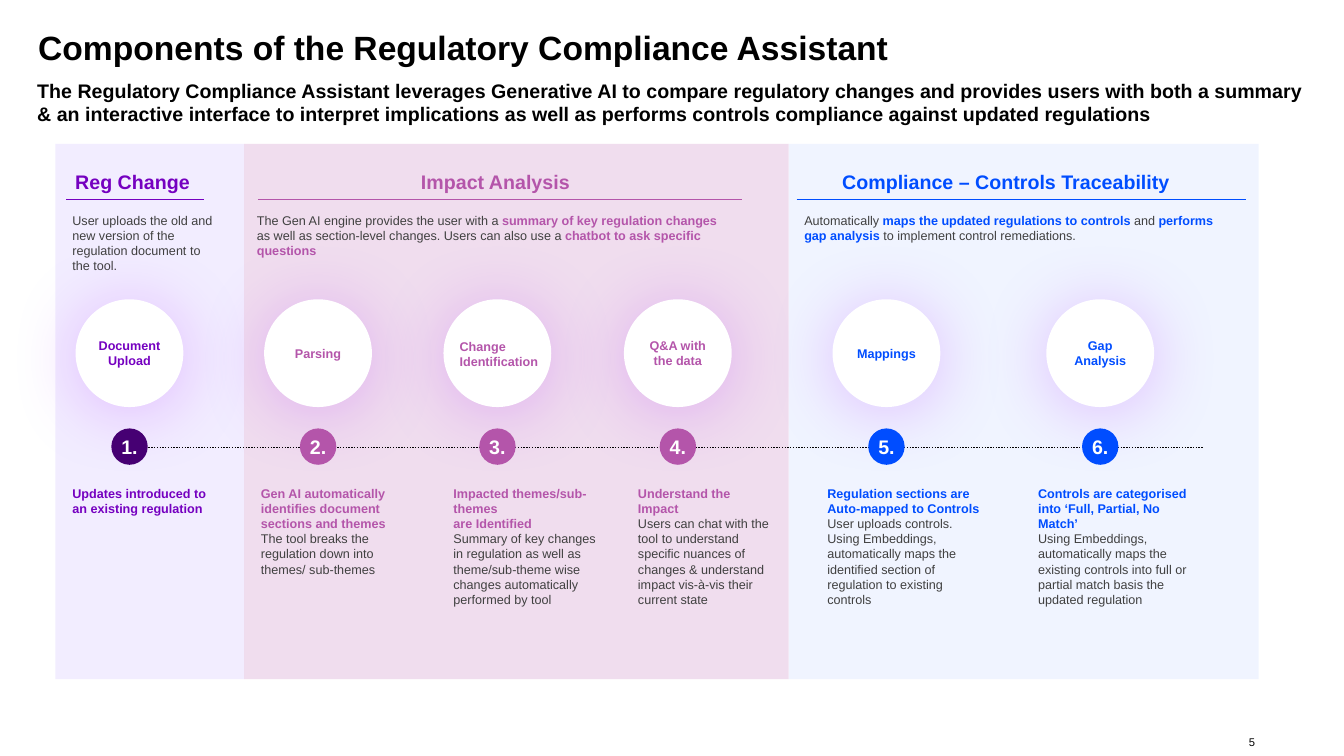
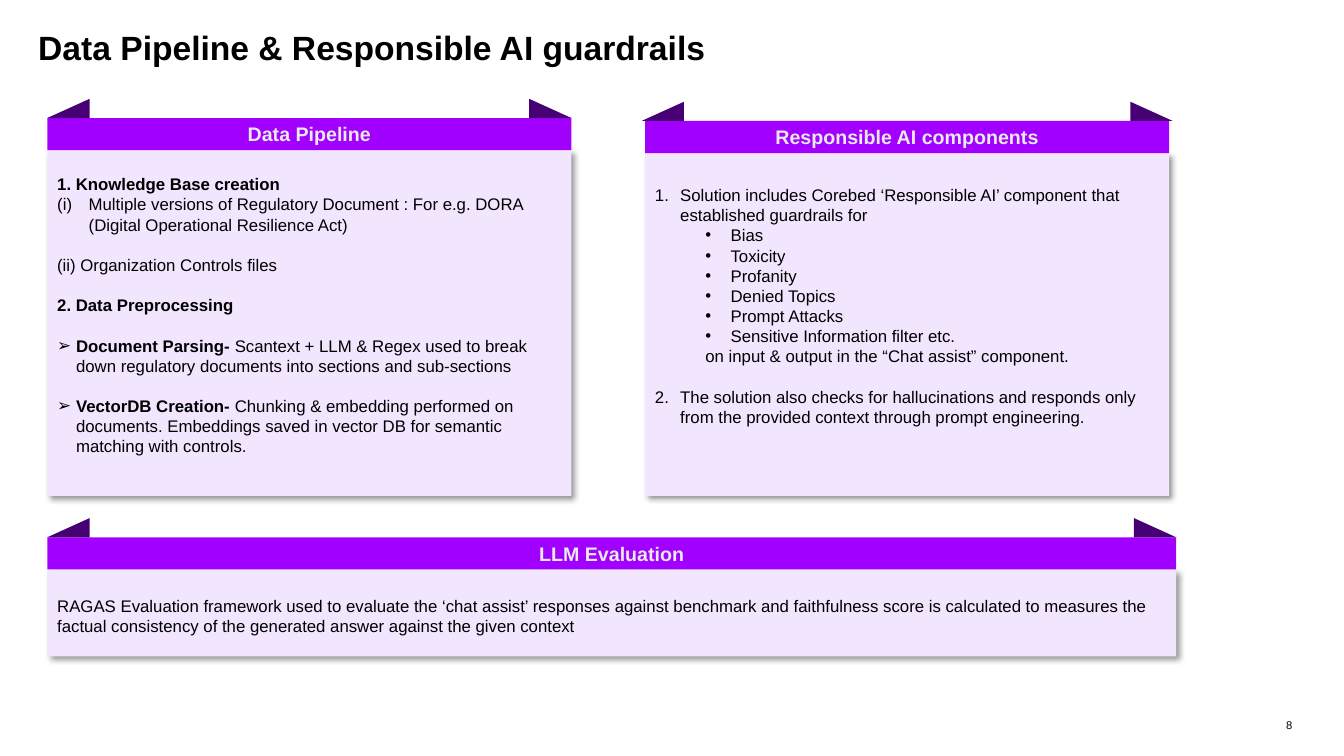
from dataclasses import dataclass

from lxml.etree import SubElement
from pptx import Presentation
from pptx.dml.color import RGBColor
from pptx.enum.dml import MSO_LINE
from pptx.enum.shapes import MSO_CONNECTOR, MSO_SHAPE
from pptx.enum.text import MSO_ANCHOR, PP_ALIGN
from pptx.oxml.ns import qn
from pptx.util import Pt


@dataclass(frozen=True)
class Theme:
    font: str = "Arial"
    title: int = 24
    heading: int = 14
    body: int = 12
    small: int = 9
    footer: int = 8
    black: str = "000000"
    white: str = "FFFFFF"
    grey: str = "404040"
    silver: str = "EAEAEA"
    deep: str = "460073"
    purple: str = "7500C0"
    violet: str = "A100FF"
    pink: str = "B455AA"
    blue: str = "004DFF"
    lavender: str = "E6DCFF"
    sky: str = "CCDBFF"
    card: str = "F2E6FF"


THEME = Theme()
INSETS = (7.2, 3.6, 7.2, 3.6)
GLOW = dict(color=THEME.violet, alpha=22, blur=51.6, distance=4, angle=90)
DROP = dict(color=THEME.black, alpha=40, blur=4, distance=3, angle=45)

COMPONENTS_TITLE = "Components of the Regulatory Compliance Assistant"
COMPONENTS_SUBTITLE = (
    "The Regulatory Compliance Assistant leverages Generative AI to compare regulatory changes and "
    "provides users with both a summary & an interactive interface to interpret implications as well "
    "as performs controls compliance against updated regulations"
)
PANELS = [
    dict(box=(174.4, 389), fill=THEME.pink, opacity=20, accent=THEME.pink,
         title="Impact Analysis", title_box=(174.4, 359), rule=(184.3, 530),
         text_box=(176.4, 353),
         text=[("The Gen AI engine provides the user with a ", False),
               ("summary of key regulation changes ", True),
               ("as well as section-level changes. Users can also use a ", False),
               ("chatbot to ask specific questions", True)]),
    dict(box=(39.6, 134.8), fill=THEME.lavender, opacity=50, accent=THEME.purple,
         title="Reg Change", title_box=(38.2, 113), rule=(47.5, 145.4),
         text_box=(44.6, 120),
         text="User uploads the old and new version of the regulation document to the tool."),
    dict(box=(563.4, 335.6), fill=THEME.sky, opacity=29, accent=THEME.blue,
         title="Compliance – Controls Traceability", title_box=(538.6, 360), rule=(569, 890),
         text_box=(567.4, 322.6),
         text=[("Automatically ", False),
               ("maps the updated regulations to controls ", True),
               ("and ", False),
               ("performs gap analysis ", True),
               ("to implement control remediations.", False)]),
]
STEPS = [
    dict(center=92.5, label="Document Upload", accent=THEME.purple, dot=THEME.deep,
         text_box=(44.6, 120), heads=["Updates introduced to an existing regulation"], detail=None),
    dict(center=227.2, label="Parsing", accent=THEME.pink, dot=THEME.pink,
         text_box=(179.3, 116.6),
         heads=["Gen AI automatically identifies document sections and themes"],
         detail="The tool breaks the regulation down into themes/ sub-themes"),
    dict(center=355.3, label="Change Identification", label_box=(328.3, 75),
         accent=THEME.pink, dot=THEME.pink, text_box=(316.8, 123.8),
         heads=["Impacted themes/sub-themes", "are Identified"],
         detail="Summary of key changes in regulation as well as theme/sub-theme wise changes "
                "automatically performed by tool"),
    dict(center=484.2, label="Q&A with the data", accent=THEME.pink, dot=THEME.pink,
         text_box=(448.6, 111.6), heads=["Understand the Impact"],
         detail="Users can chat with the tool to understand specific nuances of changes & "
                "understand impact vis-à-vis their current state"),
    dict(center=633.2, label="Mappings", accent=THEME.blue, dot=THEME.blue,
         text_box=(583.9, 128.2), heads=["Regulation sections are", "Auto-mapped to Controls"],
         detail="User uploads controls. Using Embeddings, automatically maps the identified "
                "section of regulation to existing controls"),
    dict(center=785.9, label="Gap Analysis", accent=THEME.blue, dot=THEME.blue,
         text_box=(734.4, 128.2), heads=["Controls are categorised into ‘Full, Partial, No Match’"],
         detail="Using Embeddings, automatically maps the existing controls into full or partial "
                "match basis the updated regulation"),
]

GUARDRAILS_TITLE = "Data Pipeline & Responsible AI guardrails"
GUARDRAILS = ["Bias", "Toxicity", "Profanity", "Denied Topics", "Prompt Attacks",
              "Sensitive Information filter etc."]
GAP = 14.4
CARDS = [
    dict(title="Data Pipeline", box=(33.8, 84.3, 374.4, 270), overhang=0, inset_top=17, text=[
        dict(runs=[("1. Knowledge Base creation", True)]),
        dict(runs="Multiple versions of Regulatory Document : For e.g. DORA (Digital Operational "
                  "Resilience Act)", number="romanLcParenBoth", left=22.5, hang=22.5),
        dict(runs="(ii) Organization Controls files", before=GAP),
        dict(runs=[("2. Data Preprocessing", True)], before=GAP),
        dict(runs=[("Document Parsing- ", True),
                   ("Scantext + LLM & Regex used to break down regulatory documents into sections "
                    "and sub-sections", False)], bullet="➢", left=13.5, hang=13.5, before=GAP),
        dict(runs=[("VectorDB Creation- ", True),
                   ("Chunking & embedding performed on documents. Embeddings saved in vector DB "
                    "for semantic matching with controls.", False)],
             bullet="➢", left=13.5, hang=13.5, before=GAP),
    ]),
    dict(title="Responsible AI components", box=(460.8, 86.4, 374.4, 267.9), overhang=2.5,
         inset_top=22.6, text=[
        dict(runs="Solution includes Corebed ‘Responsible AI’ component that established "
                  "guardrails for", number="arabicPeriod", left=18, hang=18),
        *[dict(runs=name, bullet="•", level=1, left=54, hang=18) for name in GUARDRAILS],
        dict(runs="on input & output in the “Chat assist” component.", level=1, left=36),
        dict(runs="The solution also checks for hallucinations and responds only from the provided "
                  "context through prompt engineering.", number="arabicPeriod", left=18, hang=18,
             before=GAP),
    ]),
    dict(title="LLM Evaluation", box=(33.8, 383.8, 806.4, 85), overhang=0, inset_top=18.6, text=[
        "RAGAS Evaluation framework used to evaluate the ‘chat assist’ responses against benchmark "
        "and faithfulness score is calculated to measures the factual consistency of the generated "
        "answer against the given context",
    ]),
]


def set_list_format(paragraph, item):
    properties = paragraph._p.get_or_add_pPr()
    paragraph.level = item.get("level", 0)
    properties.set("marL", str(Pt(item.get("left", 0))))
    properties.set("indent", str(-Pt(item.get("hang", 0))))
    if "number" in item:
        SubElement(properties, qn("a:buAutoNum"), type=item["number"])
    elif "bullet" in item:
        SubElement(properties, qn("a:buFont"), typeface=THEME.font)
        SubElement(properties, qn("a:buChar"), char=item["bullet"])
    else:
        SubElement(properties, qn("a:buNone"))


def write_text(shape, items, size=THEME.body, color=THEME.black, accent=None, bold=False,
               align=PP_ALIGN.LEFT, anchor=MSO_ANCHOR.TOP, insets=INSETS, line_spacing=None):
    frame = shape.text_frame
    frame.word_wrap = True
    frame.vertical_anchor = anchor
    frame.margin_left, frame.margin_top, frame.margin_right, frame.margin_bottom = map(Pt, insets)
    for index, item in enumerate([items] if isinstance(items, str) else items):
        if not isinstance(item, dict):
            item = dict(runs=item)
        paragraph = frame.paragraphs[0] if index == 0 else frame.add_paragraph()
        paragraph.alignment = align
        if line_spacing:
            paragraph.line_spacing = line_spacing
        if "before" in item:
            paragraph.space_before = Pt(item["before"])
        set_list_format(paragraph, item)
        paragraph.font.size = Pt(size)
        runs = item["runs"]
        for text, emphasised in [(runs, False)] if isinstance(runs, str) else runs:
            run = paragraph.add_run()
            run.text = text
            run.font.name = THEME.font
            run.font.size = Pt(size)
            run.font.bold = bold or emphasised
            run.font.color.rgb = RGBColor.from_string(accent if emphasised and accent else color)


def add_text(slide, box, items, **text_format):
    shape = slide.shapes.add_textbox(*map(Pt, box))
    write_text(shape, items, **text_format)


def add_block(slide, kind, box, fill, opacity=None, shadow=None, flip=False):
    shape = slide.shapes.add_shape(kind, *map(Pt, box))
    shape.shadow.inherit = False
    shape.fill.solid()
    shape.fill.fore_color.rgb = RGBColor.from_string(fill)
    shape.line.fill.background()
    properties = shape._element.spPr
    if opacity:
        color = properties.find(qn("a:solidFill")).find(qn("a:srgbClr"))
        SubElement(color, qn("a:alpha"), val=str(opacity * 1000))
    if shadow:
        outer = SubElement(properties.find(qn("a:effectLst")), qn("a:outerShdw"),
                           blurRad=str(Pt(shadow["blur"])), dist=str(Pt(shadow["distance"])),
                           dir=str(shadow["angle"] * 60000), algn="t", rotWithShape="0")
        color = SubElement(outer, qn("a:srgbClr"), val=shadow["color"])
        SubElement(color, qn("a:alpha"), val=str(shadow["alpha"] * 1000))
    if flip:
        properties.find(qn("a:xfrm")).set("flipH", "1")
    return shape


def add_rule(slide, left, right, top, color, dash=None):
    rule = slide.shapes.add_connector(MSO_CONNECTOR.STRAIGHT, Pt(left), Pt(top), Pt(right), Pt(top))
    rule.line.color.rgb = RGBColor.from_string(color)
    rule.line.width = Pt(1)
    if dash:
        rule.line.dash_style = dash
    SubElement(rule._element.spPr, qn("a:effectLst"))


def add_base_slide(presentation, title, number, number_left, number_top):
    slide = presentation.slides.add_slide(presentation.slide_layouts[6])
    add_text(slide, (20.2, 21.6, 906.5, 62.6), title, size=THEME.title, bold=True, line_spacing=0.8)
    add_text(slide, (number_left, number_top, 30.2, 16.6), number, size=THEME.footer,
             align=PP_ALIGN.RIGHT)
    return slide


def add_panel(slide, panel):
    left, width = panel["box"]
    accent = panel["accent"]
    add_block(slide, MSO_SHAPE.RECTANGLE, (left, 102.8, width, 382.3), panel["fill"],
              opacity=panel["opacity"])
    title_left, title_width = panel["title_box"]
    add_text(slide, (title_left, 118, title_width, 25), panel["title"], size=THEME.heading,
             color=accent, bold=True, align=PP_ALIGN.CENTER)
    add_rule(slide, *panel["rule"], 142.6, accent)
    text_left, text_width = panel["text_box"]
    add_text(slide, (text_left, 148.3, text_width, 51), [panel["text"]], size=THEME.small,
             color=THEME.grey, accent=accent)


def add_step(slide, number, step):
    center, accent = step["center"], step["accent"]
    circle, dot = 77, 26
    bubble = add_block(slide, MSO_SHAPE.OVAL, (center - circle / 2, 213.8, circle, circle),
                       THEME.white, shadow=GLOW)
    label_format = dict(size=THEME.small, color=accent, bold=True, insets=(0, 0, 0, 0))
    if "label_box" in step:
        label_left, label_width = step["label_box"]
        add_text(slide, (label_left, 242, label_width, 44), step["label"], **label_format)
    else:
        write_text(bubble, step["label"], align=PP_ALIGN.CENTER, anchor=MSO_ANCHOR.MIDDLE,
                   **label_format)
    marker = add_block(slide, MSO_SHAPE.OVAL, (center - dot / 2, 306, dot, dot), step["dot"])
    write_text(marker, f"{number}.", size=THEME.heading, color=THEME.white, bold=True,
               align=PP_ALIGN.CENTER, anchor=MSO_ANCHOR.MIDDLE, insets=(0, 3.6, 0, 3.6))
    text_left, text_width = step["text_box"]
    items = [[(head, True)] for head in step["heads"]]
    if step["detail"]:
        items.append(step["detail"])
    add_text(slide, (text_left, 343.4, text_width, 94), items, size=THEME.small, color=THEME.grey,
             accent=accent)


def add_card(slide, card):
    left, top, width, height = card["box"]
    header, fold_width, fold_height = 23, 30.2, 13.7
    body = add_block(slide, MSO_SHAPE.RECTANGLE, (left, top + header, width, height - header),
                     THEME.card, shadow=DROP)
    write_text(body, card["text"], insets=(7.2, card["inset_top"], 7.2, 3.6))
    band = add_block(slide, MSO_SHAPE.RECTANGLE, (left, top, width, header), THEME.violet)
    write_text(band, card["title"], size=THEME.heading, color=THEME.silver, bold=True,
               align=PP_ALIGN.CENTER, anchor=MSO_ANCHOR.MIDDLE)
    overhang = card["overhang"]
    fold_lefts = (left - overhang, left + width + overhang - fold_width)
    for fold_left, flip in zip(fold_lefts, (True, False)):
        add_block(slide, MSO_SHAPE.RIGHT_TRIANGLE,
                  (fold_left, top - fold_height, fold_width, fold_height), THEME.deep, flip=flip)


def main():
    presentation = Presentation()
    presentation.slide_width, presentation.slide_height = Pt(960), Pt(540)

    components = add_base_slide(presentation, COMPONENTS_TITLE, "5", 873.4, 522)
    add_text(components, (26.6, 56.2, 906.5, 31), COMPONENTS_SUBTITLE, size=THEME.heading,
             bold=True, insets=(0, 0, 0, 0))
    for panel in PANELS:
        add_panel(components, panel)
    add_rule(components, 84.2, 859, 319.7, THEME.black, dash=MSO_LINE.ROUND_DOT)
    for number, step in enumerate(STEPS, 1):
        add_step(components, number, step)

    guardrails = add_base_slide(presentation, GUARDRAILS_TITLE, "8", 900, 509.8)
    for card in CARDS:
        add_card(guardrails, card)

    presentation.save("out.pptx")


if __name__ == "__main__":
    main()
